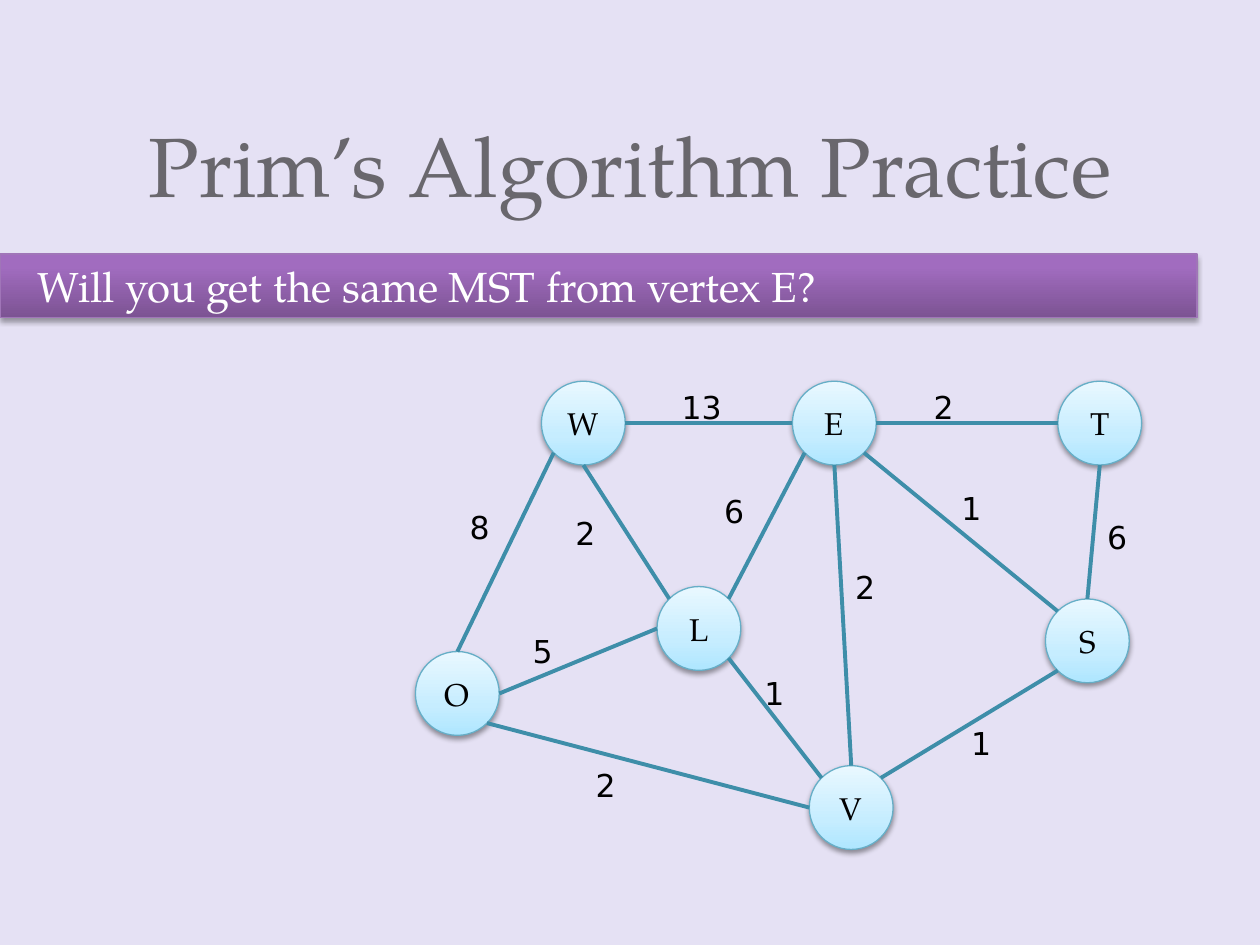
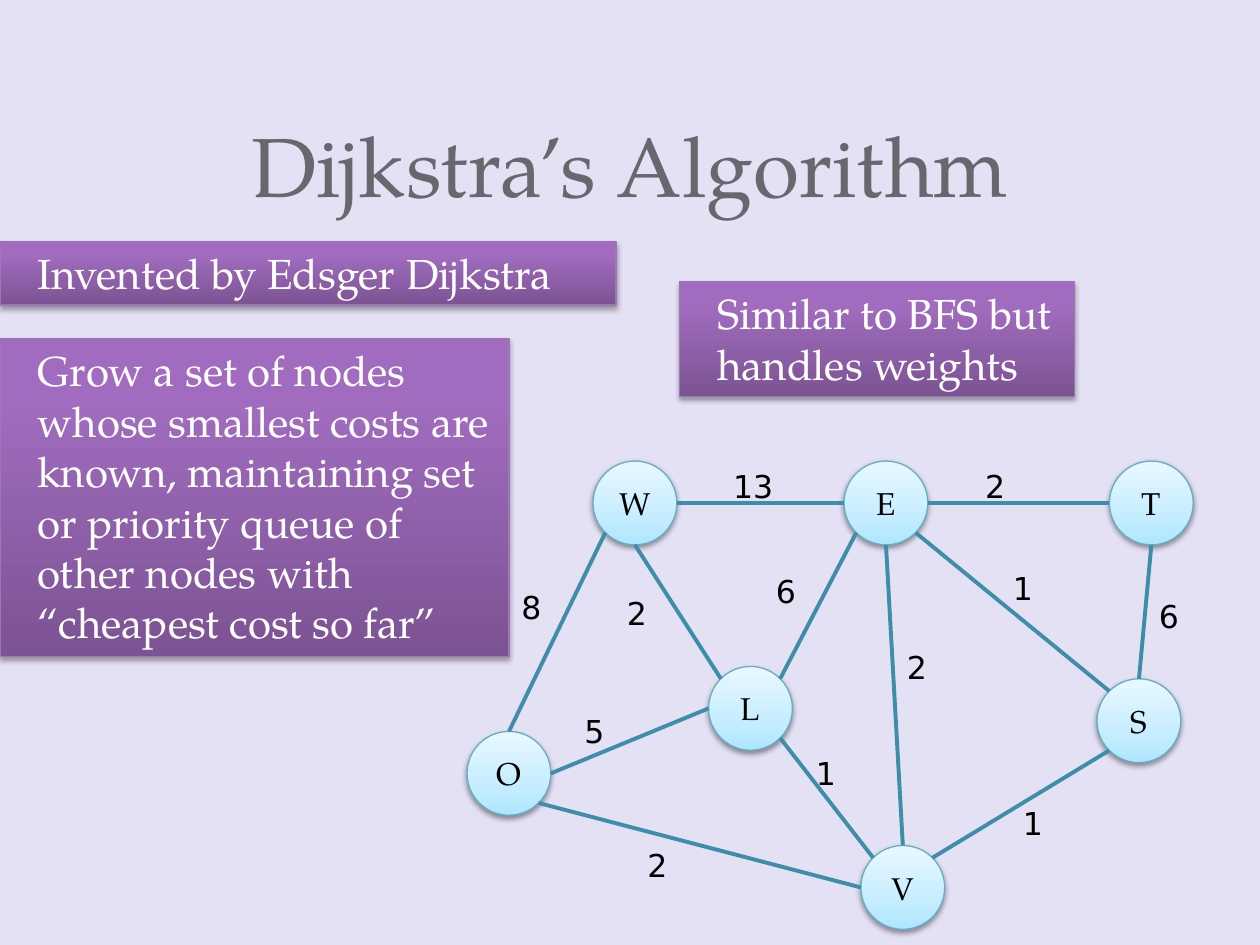
import math

import lxml.etree
import pptx
import pptx.dml.color
import pptx.enum.shapes
import pptx.enum.text
import pptx.oxml.ns
import pptx.util

Cm = pptx.util.Cm
Pt = pptx.util.Pt
qn = pptx.oxml.ns.qn
SHAPE = pptx.enum.shapes.MSO_SHAPE
ALIGN = pptx.enum.text.PP_ALIGN
ANCHOR = pptx.enum.text.MSO_ANCHOR
FIT = pptx.enum.text.MSO_AUTO_SIZE.SHAPE_TO_FIT_TEXT

SERIF, SANS = "TeX Gyre Pagella", "DejaVu Sans"
LILAC, GREY, BLACK, WHITE = "E5E1F4", "69676D", "000000", "FFFFFF"
MAUVE, AQUA, TEAL = "A075B8", "66AEC7", "3E8EA9"
PURPLE = [(0, "7C5393"), (80, "A16CBF"), (100, "A26BC1")]
SKY = [(0, "AEE6FF"), (35, "C6EDFF"), (100, "E9F8FF")]

SIZE = 1.69
NODES = {
    "W": (11.76, 8.53),
    "E": (16.82, 8.53),
    "S": (21.92, 12.92),
    "V": (17.16, 16.28),
    "L": (14.09, 12.67),
    "O": (9.22, 13.98),
    "T": (22.17, 8.53),
}
TOP, TOP_LEFT, LEFT, LOW_LEFT, LOW, LOW_RIGHT, RIGHT, TOP_RIGHT = range(8)
EDGES = [
    ("V", TOP, "E", LOW, "2", 16.99, 11.33),
    ("W", RIGHT, "E", LEFT, "13", 13.49, 7.69),
    ("S", TOP_LEFT, "E", LOW_RIGHT, "1", 19.13, 9.73),
    ("S", LOW_LEFT, "V", TOP_RIGHT, "1", 19.33, 14.48),
    ("W", LOW_LEFT, "O", TOP, "8", 9.22, 10.11),
    ("W", LOW, "L", TOP_LEFT, "2", 11.35, 10.24),
    ("L", TOP_RIGHT, "E", LOW_LEFT, "6", 14.35, 9.8),
    ("T", LOW, "S", TOP, "6", 22.07, 10.31),
    ("O", LOW_RIGHT, "V", LEFT, "2", 11.76, 15.32),
    ("O", RIGHT, "L", LEFT, "5", 10.49, 12.62),
    ("V", TOP_LEFT, "L", LOW_RIGHT, "1", 15.16, 13.46),
    ("E", RIGHT, "T", LEFT, "2", 18.57, 7.69),
]


def paint(target, code):
    target.rgb = pptx.dml.color.RGBColor.from_string(code)


def add(parent, tag, **attrs):
    values = {key: str(value) for key, value in attrs.items()}
    return lxml.etree.SubElement(parent, qn(tag), values)


def blend(shape, stops):
    shape.fill.gradient()
    shape.fill.gradient_angle = 90
    ramp = shape.element.find(".//" + qn("a:gsLst"))
    for stop in list(ramp):
        ramp.remove(stop)
    for place, code in stops:
        add(add(ramp, "a:gs", pos=place * 1000), "a:srgbClr", val=code)


def shade(shape, depth, drop):
    shape.shadow.inherit = False
    effects = shape.element.find(".//" + qn("a:effectLst"))
    outer = add(effects, "a:outerShdw", blurRad=int(Pt(3.1)), dist=int(Pt(drop)),
                dir=5400000, rotWithShape=0)
    add(add(outer, "a:srgbClr", val=BLACK), "a:alpha", val=depth * 1000)


def write(shape, text, size, code, font=SERIF, align=ALIGN.LEFT, anchor=ANCHOR.TOP):
    frame = shape.text_frame
    frame.word_wrap = True
    frame.vertical_anchor = anchor
    line = frame.paragraphs[0]
    line.text = text
    line.alignment = align
    line.font.name = font
    line.font.size = Pt(size)
    paint(line.font.color, code)
    return frame


def block(shapes, kind, box, stops, edge, depth, drop):
    shape = shapes.add_shape(kind, *map(Cm, box))
    blend(shape, stops)
    paint(shape.line.color, edge)
    shape.line.width = Pt(0.75)
    shade(shape, depth, drop)
    return shape


def band(slide, text, *box):
    shape = block(slide.shapes, SHAPE.RECTANGLE, box, PURPLE, MAUVE, 35, 1.8)
    frame = write(shape, text, 24, WHITE)
    frame.margin_left = Cm(0.76)
    frame.auto_size = FIT


def node(shapes, name, x, y):
    box = (x - SIZE / 2, y - SIZE / 2, SIZE, SIZE)
    shape = block(shapes, SHAPE.OVAL, box, SKY, AQUA, 38, 1.6)
    write(shape, name, 18, BLACK, align=ALIGN.CENTER, anchor=ANCHOR.MIDDLE)
    return shape


def rim(x, y, site):
    turn = site * math.pi / 4
    return Cm(x - SIZE / 2 * math.sin(turn)), Cm(y - SIZE / 2 * math.cos(turn))


def link(shapes, start, begin, end, finish):
    line = shapes.add_connector(pptx.enum.shapes.MSO_CONNECTOR.STRAIGHT, *begin, *finish)
    paint(line.line.color, TEAL)
    line.line.width = Pt(2.25)
    add(line.element.spPr, "a:effectLst")
    joints = line.element.find(".//" + qn("p:cNvCxnSpPr"))
    for tag, (shape, site) in (("a:stCxn", start), ("a:endCxn", end)):
        add(joints, tag, id=shape.shape_id, idx=site)


def label(shapes, text, x, y):
    shape = shapes.add_textbox(Cm(x), Cm(y), Cm(1.96), Cm(1.02))
    write(shape, text, 18, BLACK, SANS).auto_size = FIT


def graph(slide, right=0, down=0):
    shapes = slide.shapes.add_group_shape().shapes
    spots = {name: (x + right, y + down) for name, (x, y) in NODES.items()}
    discs = {name: node(shapes, name, *spot) for name, spot in spots.items()}
    for one, site, two, goal, cost, x, y in EDGES:
        link(shapes, (discs[one], site), rim(*spots[one], site),
             (discs[two], goal), rim(*spots[two], goal))
        label(shapes, cost, x + right, y + down)


def page(deck, title):
    slide = deck.slides.add_slide(deck.slide_layouts[6])
    slide.background.fill.solid()
    paint(slide.background.fill.fore_color, LILAC)
    shape = slide.shapes.add_textbox(Cm(1.27), Cm(0), Cm(22.86), Cm(4.45))
    frame = write(shape, title, 48, GREY, align=ALIGN.CENTER, anchor=ANCHOR.BOTTOM)
    frame.paragraphs[0].line_spacing = Pt(58)
    return slide


def main():
    deck = pptx.Presentation()
    deck.slide_width, deck.slide_height = Cm(25.4), Cm(19.05)

    prim = page(deck, "Prim’s Algorithm Practice")
    band(prim, "Will you get the same MST from vertex E?", 0, 5.12, 24.13, 1.28)
    graph(prim)

    dijkstra = page(deck, "Dijkstra’s Algorithm")
    band(dijkstra, "Invented by Edsger Dijkstra", 0, 4.87, 12.42, 1.28)
    graph(dijkstra, 1.04, 1.61)
    band(dijkstra, "Similar to BFS but handles weights", 13.7, 5.68, 7.96, 2.31)
    band(dijkstra, "Grow a set of nodes whose smallest costs are known, maintaining set "
         "or priority queue of other nodes with \v“cheapest cost so far”",
         0, 6.83, 10.26, 6.4)

    deck.save("out.pptx")


if __name__ == "__main__":
    main()
